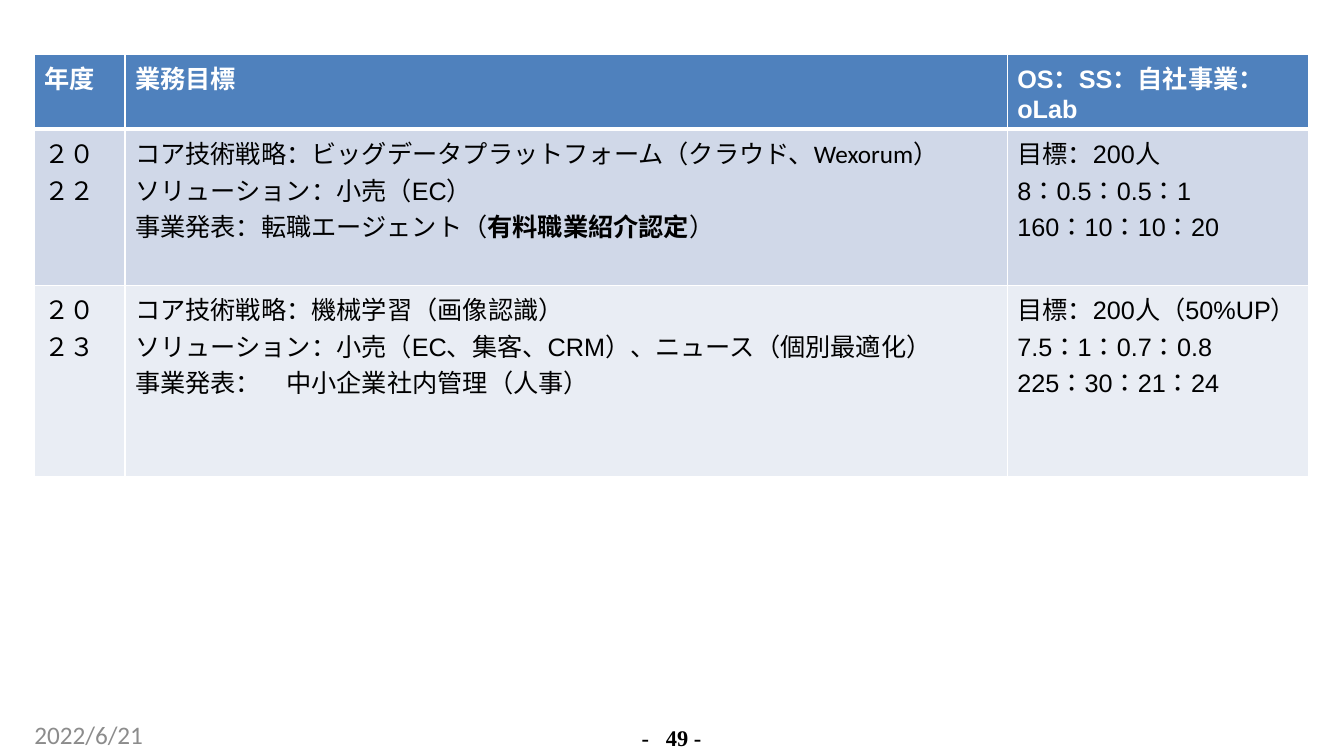
from lxml import etree
from pptx import Presentation
from pptx.dml.color import RGBColor
from pptx.enum import text as txt
from pptx.oxml import ns
from pptx.util import Inches, Pt

COLORS = {
    "header": "4F81BD", "odd": "D0D8E8", "even": "E9EDF4",
    "white": "FFFFFF", "black": "000000", "date": "8C8C8C",
}
EAST_ASIAN = "Noto Sans CJK JP"

# A cell is a list of paragraphs; a paragraph is a list of (text, format) runs.
HEADER = ["年度", "業務目標", "OS：SS：自社事業：oLab"]
GOALS = [
    [
        [[("２０２２", {})]],
        [
            [("コア技術戦略：ビッグデータプラットフォーム", {}),
             ("（クラウド、Wexorum）", {"font": "Calibri"})],
            [("ソリューション：小売（EC）", {})],
            [("事業発表：転職エージェント（", {}),
             ("有料職業紹介認定", {"bold": True}), ("）", {})],
        ],
        [[("目標：200人", {})], [("8：0.5：0.5：1", {})],
         [("160：10：10：20", {})]],
    ],
    [
        [[("２０２３", {})]],
        [
            [("コア技術戦略：機械学習（画像認識）", {})],
            [("ソリューション：小売（EC、集客、CRM）、ニュース（個別最適化）", {})],
            [("事業発表：　中小企業社内管理（人事）", {})],
        ],
        [[("目標：200人（50%UP）", {})], [("7.5：1：0.7：0.8", {})],
         [("225：30：21：24", {})]],
    ],
]
DATE = "2022/6/21"
PAGE = "-\t49 -"

LEFT, TOP = 0.34, 0.54
COLUMN_WIDTHS = [0.9, 8.75, 2.99]
ROW_HEIGHTS = [0.74, 1.55, 1.9]


def add_text(paragraph, content, size=18, font="Arial", color="black", bold=False):
    run = paragraph.add_run()
    run.text = content
    run.font.size = Pt(size)
    run.font.name = font
    run.font.bold = bold
    run.font.color.rgb = RGBColor.from_string(COLORS[color])
    east_asian = etree.SubElement(run.font._element, ns.qn("a:ea"))
    east_asian.set("typeface", EAST_ASIAN)


def add_borders(cell, bottom):
    """Give the cell white borders; bottom is the lower one's width in points."""
    properties = cell._tc.get_or_add_tcPr()
    for side, width in (("lnL", 1), ("lnR", 1), ("lnT", 1), ("lnB", bottom)):
        line = etree.SubElement(properties, ns.qn("a:" + side), w=str(Pt(width)))
        fill = etree.SubElement(line, ns.qn("a:solidFill"))
        etree.SubElement(fill, ns.qn("a:srgbClr"), val=COLORS["white"])


def fill_cell(cell, paragraphs, fill, bottom=1, **text_format):
    add_borders(cell, bottom)
    cell.fill.solid()
    cell.fill.fore_color.rgb = RGBColor.from_string(COLORS[fill])
    frame = cell.text_frame
    for index, runs in enumerate(paragraphs):
        paragraph = frame.add_paragraph() if index else frame.paragraphs[0]
        for content, changes in runs:
            add_text(paragraph, content, **{**text_format, **changes})


def add_footer(slide, left, top, width, height, content, **text_format):
    frame = slide.shapes.add_textbox(
        Inches(left), Inches(top), Inches(width), Inches(height)).text_frame
    frame.word_wrap = True
    frame.margin_left = frame.margin_right = 0
    frame.margin_top = frame.margin_bottom = 0
    add_text(frame.paragraphs[0], content, **text_format)
    return frame.paragraphs[0]


def add_goals(slide):
    table = slide.shapes.add_table(
        len(ROW_HEIGHTS), len(COLUMN_WIDTHS), Inches(LEFT), Inches(TOP),
        Inches(sum(COLUMN_WIDTHS)), Inches(sum(ROW_HEIGHTS))).table
    for column, width in zip(table.columns, COLUMN_WIDTHS):
        column.width = Inches(width)
    for row, height in zip(table.rows, ROW_HEIGHTS):
        row.height = Inches(height)

    for column, heading in enumerate(HEADER):
        fill_cell(table.cell(0, column), [[(heading, {})]], "header",
                  bottom=3, color="white", bold=True)
    for row, goal in enumerate(GOALS, start=1):
        for column, paragraphs in enumerate(goal):
            fill_cell(table.cell(row, column), paragraphs,
                      "odd" if row % 2 else "even")


def main():
    deck = Presentation()
    deck.slide_width, deck.slide_height = Inches(13.33), Inches(7.5)
    slide = deck.slides.add_slide(deck.slide_layouts[6])
    add_goals(slide)

    page = add_footer(slide, 6.23, 7.19, 0.86, 0.25, PAGE, size=16,
                      font="Times New Roman", bold=True)
    page.alignment = txt.PP_ALIGN.CENTER
    page.line_spacing = Pt(18.4)
    tabs = etree.SubElement(page._p.get_or_add_pPr(), ns.qn("a:tabLst"))
    etree.SubElement(tabs, ns.qn("a:tab"), pos=str(Inches(0.24)), algn="l")

    add_footer(slide, LEFT, 7.14, 3.07, 0.3, DATE, font="Calibri", color="date")
    deck.save("out.pptx")


if __name__ == "__main__":
    main()
